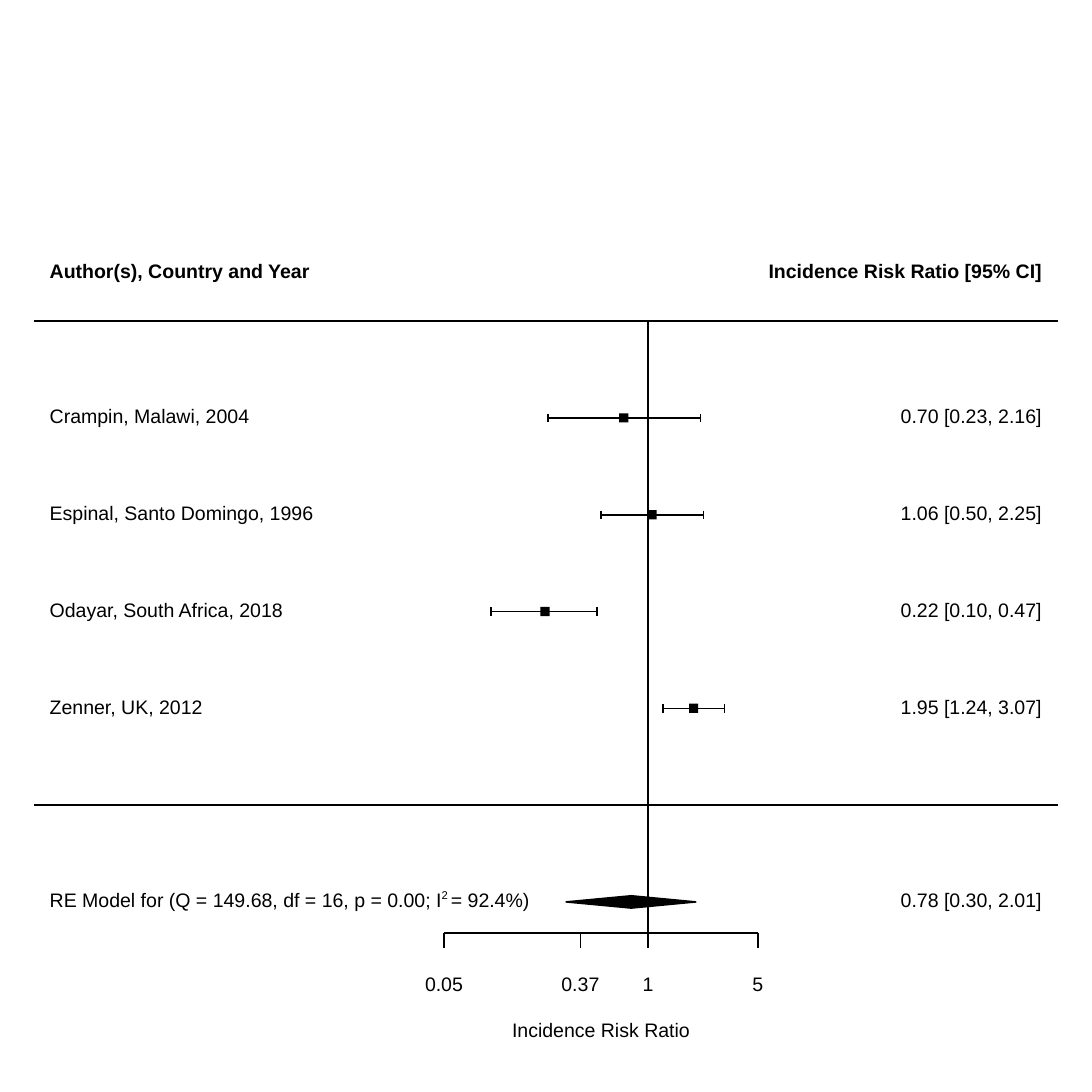
import math
from dataclasses import dataclass

import pptx
import pptx.dml.color
import pptx.enum.shapes
import pptx.enum.text
import pptx.oxml.ns
import pptx.util
from lxml import etree

Cm, Pt = pptx.util.Cm, pptx.util.Pt
ALIGN = pptx.enum.text.PP_ALIGN


@dataclass(frozen=True)
class Theme:
    """Colour, font and line settings of the plot."""
    ink: pptx.dml.color.RGBColor = pptx.dml.color.RGBColor(0, 0, 0)
    font: str = "Arial"
    size: float = 9
    line: float = 0.75
    superscript: int = 42000


THEME = Theme()

# Content: study, estimate, lower and upper limit
HEADINGS = ("Author(s), Country and Year", "Incidence Risk Ratio [95% CI]")
STUDIES = [
    ("Crampin, Malawi, 2004", 0.70, 0.23, 2.16),
    ("Espinal, Santo Domingo, 1996", 1.06, 0.50, 2.25),
    ("Odayar, South Africa, 2018", 0.22, 0.10, 0.47),
    ("Zenner, UK, 2012", 1.95, 1.24, 3.07),
]
MODEL = ("RE Model for (Q = 149.68, df = 16, p = 0.00; I", "2 ", "= 92.4%)")
POOLED = (0.78, 0.30, 2.01)
TICKS = [0.05, 0.37, 1, 5]
AXIS_TITLE = "Incidence Risk Ratio"

# Layout in centimetres
SIDE = 17.78
RULE_LEFT, RULE_RIGHT = 0.56, 17.22
TEXT_LEFT, TEXT_RIGHT = 0.81, 16.96
TOP_RULE, BOTTOM_RULE = 5.23, 13.11
PITCH = (BOTTOM_RULE - TOP_RULE) / (len(STUDIES) + 1)
AXIS_LEFT, AXIS_RIGHT, AXIS_Y = 7.23, 12.34, 15.19
TICK, TICK_LABEL_Y, AXIS_TITLE_Y = 0.25, 16.04, 16.8
SQUARE, CAP, DIAMOND = 0.15, 0.14, 0.2
TEXT_HEIGHT, TEXT_RISE, TEXT_INSET = 0.46, 0.28, 0.06


def x_of(ratio):
    """Place a ratio on the logarithmic axis."""
    share = math.log(ratio / TICKS[0]) / math.log(TICKS[-1] / TICKS[0])
    return AXIS_LEFT + share * (AXIS_RIGHT - AXIS_LEFT)


def y_of(row):
    """Place a row, counted from the top rule."""
    return TOP_RULE + row * PITCH


def add_line(s, x1, y1, x2, y2):
    """Draw a straight line without shadow."""
    sp = s.shapes.add_connector(pptx.enum.shapes.MSO_CONNECTOR.STRAIGHT,
                                Cm(x1), Cm(y1), Cm(x2), Cm(y2))
    sp.line.color.rgb = THEME.ink
    sp.line.width = Pt(THEME.line)
    etree.SubElement(sp._element.spPr, pptx.oxml.ns.qn("a:effectLst"))


def paint(sp):
    """Fill a shape with the ink colour and remove its shadow."""
    sp.shadow.inherit = False
    sp.fill.solid()
    sp.fill.fore_color.rgb = THEME.ink


def add_text(s, x, y, width, parts, align=ALIGN.LEFT, bold=False):
    """Write one line anchored at x; every second part is superscript."""
    shift = {ALIGN.LEFT: 0, ALIGN.CENTER: width / 2, ALIGN.RIGHT: width}[align]
    sp = s.shapes.add_textbox(Cm(x - shift), Cm(y - TEXT_RISE),
                              Cm(width), Cm(TEXT_HEIGHT))
    tf = sp.text_frame
    tf.word_wrap = True
    tf.margin_left = tf.margin_right = tf.margin_bottom = 0
    tf.margin_top = Cm(TEXT_INSET)
    p = tf.paragraphs[0]
    p.alignment = align
    for i, part in enumerate(parts):
        r = p.add_run()
        r.text = part
        r.font.name, r.font.size, r.font.bold = THEME.font, Pt(THEME.size), bold
        r.font.color.rgb = THEME.ink
        if i % 2:
            r._r.get_or_add_rPr().set("baseline", str(THEME.superscript))


def add_row(s, row, label, value, bold=False):
    """Write the left and right text of a row."""
    add_text(s, TEXT_LEFT, y_of(row), 8.4, label, bold=bold)
    add_text(s, TEXT_RIGHT, y_of(row), 5, [value], ALIGN.RIGHT, bold)


def interval_text(estimate, low, high):
    """Format an estimate with its interval."""
    return f"{estimate:.2f} [{low:.2f}, {high:.2f}]"


def add_interval(s, row, estimate, low, high):
    """Draw a study's interval with end caps and its square."""
    y = y_of(row)
    add_line(s, x_of(low), y, x_of(high), y)
    for limit in (low, high):
        add_line(s, x_of(limit), y - CAP / 2, x_of(limit), y + CAP / 2)
    sp = s.shapes.add_shape(pptx.enum.shapes.MSO_SHAPE.RECTANGLE,
                            Cm(x_of(estimate) - SQUARE / 2), Cm(y - SQUARE / 2),
                            Cm(SQUARE), Cm(SQUARE))
    paint(sp)
    sp.line.fill.background()


def add_diamond(s, row, estimate, low, high):
    """Draw the pooled estimate as a diamond."""
    y, x = y_of(row), x_of(estimate)
    points = [(x_of(low), y), (x, y - DIAMOND / 2),
              (x_of(high), y), (x, y + DIAMOND / 2)]
    start, *rest = [(Cm(px), Cm(py)) for px, py in points]
    builder = s.shapes.build_freeform(*start)
    builder.add_line_segments(rest, close=True)
    sp = builder.convert_to_shape()
    paint(sp)
    sp.line.color.rgb = THEME.ink
    sp.line.width = Pt(THEME.line)


def add_axis(s):
    """Draw the axis with its ticks, labels and title."""
    add_line(s, AXIS_LEFT, AXIS_Y, AXIS_RIGHT, AXIS_Y)
    for tick in TICKS:
        x = x_of(tick)
        add_line(s, x, AXIS_Y, x, AXIS_Y + TICK)
        add_text(s, x, TICK_LABEL_Y, 1, [str(tick)], ALIGN.CENTER)
    add_text(s, (AXIS_LEFT + AXIS_RIGHT) / 2, AXIS_TITLE_Y, 4,
             [AXIS_TITLE], ALIGN.CENTER)


prs = pptx.Presentation()
prs.slide_width = prs.slide_height = Cm(SIDE)
s = prs.slides.add_slide(prs.slide_layouts[6])

for rule_y in (TOP_RULE, BOTTOM_RULE):
    add_line(s, RULE_LEFT, rule_y, RULE_RIGHT, rule_y)
add_line(s, x_of(1), TOP_RULE, x_of(1), AXIS_Y)
add_axis(s)

add_row(s, -0.5, [HEADINGS[0]], HEADINGS[1], bold=True)
for row, (study, *result) in enumerate(STUDIES, start=1):
    add_row(s, row, [study], interval_text(*result))
    add_interval(s, row, *result)
pooled_row = len(STUDIES) + 2
add_row(s, pooled_row, MODEL, interval_text(*POOLED))
add_diamond(s, pooled_row, *POOLED)

prs.save("out.pptx")
